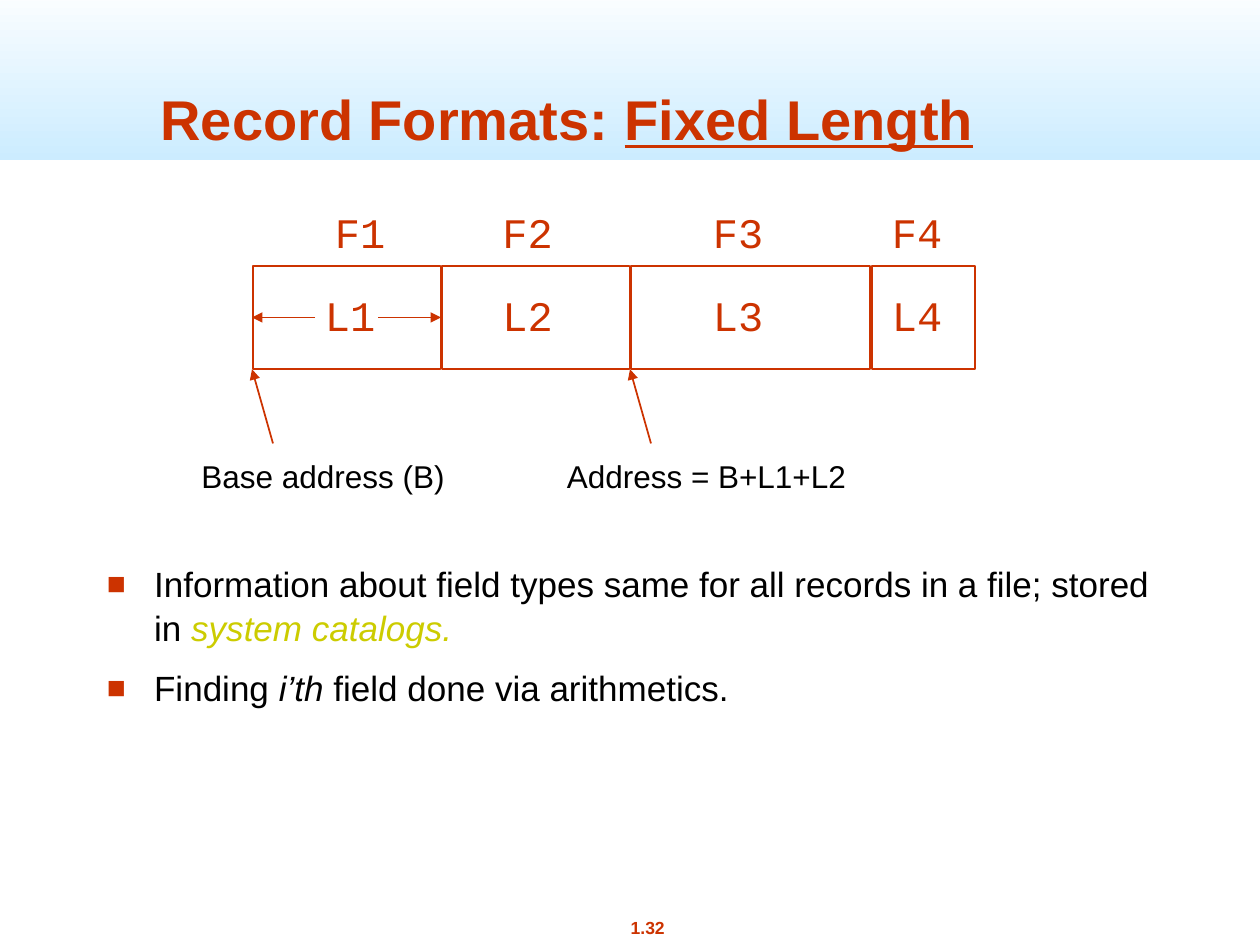
from dataclasses import dataclass

from lxml.etree import SubElement
from pptx import Presentation
from pptx.dml.color import RGBColor
from pptx.enum.shapes import MSO_CONNECTOR, MSO_SHAPE
from pptx.enum.text import MSO_ANCHOR, PP_ALIGN
from pptx.oxml.ns import qn
from pptx.util import Pt


@dataclass(frozen=True)
class Theme:
    red: str = "CC3300"
    black: str = "000000"
    lime: str = "CCCC00"
    white: str = "FFFFFF"
    sky: str = "CCECFF"
    sans: str = "Arial"
    mono: str = "Courier New"
    title: int = 32
    code: int = 24
    body: int = 20
    note: int = 18
    foot: int = 10


def write(par, text, font, size, color, bold=None, italic=None, under=None):
    run = par.add_run()
    run.text = text
    face = run.font
    face.name, face.size = font, Pt(size)
    face.color.rgb = RGBColor.from_string(color)
    face.bold, face.italic, face.underline = bold, italic, under


def mark(par, color):
    """Give a paragraph a hanging square bullet."""
    props = par._p.get_or_add_pPr()
    props.set("marL", str(Pt(27)))
    props.set("indent", str(-Pt(27)))
    tint = SubElement(props, qn("a:buClr"))
    SubElement(tint, qn("a:srgbClr"), val=color)
    SubElement(props, qn("a:buSzPct"), val="90000")
    SubElement(props, qn("a:buFont"), typeface="Arial")
    SubElement(props, qn("a:buChar"), char="■")


class Board:
    def __init__(self, slide, theme):
        self.slide, self.theme = slide, theme
        self.shapes = slide.shapes

    def band(self, x, y, w, h):
        shape = self.shapes.add_shape(MSO_SHAPE.RECTANGLE, Pt(x), Pt(y), Pt(w), Pt(h))
        shape.shadow.inherit = False
        shape.line.fill.background()
        shape.fill.gradient()
        shape.fill.gradient_angle = 270
        for stop, color in zip(shape.fill.gradient_stops, (self.theme.white, self.theme.sky)):
            stop.color.rgb = RGBColor.from_string(color)

    def box(self, x, y, w, h):
        shape = self.shapes.add_shape(MSO_SHAPE.RECTANGLE, Pt(x), Pt(y), Pt(w), Pt(h))
        shape.shadow.inherit = False
        shape.fill.background()
        self.stroke(shape.line)

    def stroke(self, line):
        line.color.rgb = RGBColor.from_string(self.theme.red)
        line.width = Pt(1)

    def arrow(self, x1, y1, x2, y2):
        line = self.shapes.add_connector(
            MSO_CONNECTOR.STRAIGHT, Pt(x1), Pt(y1), Pt(x2), Pt(y2))
        self.stroke(line.line)
        SubElement(line.line._get_or_add_ln(), qn("a:tailEnd"), type="triangle")
        SubElement(line._element.spPr, qn("a:effectLst"))

    def text(self, x, y, w, h, *pars, wrap=False, align=PP_ALIGN.LEFT,
             anchor=MSO_ANCHOR.TOP, bullet=False, **style):
        """Each paragraph is a string or a list of (text, format changes)."""
        frame = self.shapes.add_textbox(Pt(x), Pt(y), Pt(w), Pt(h)).text_frame
        frame.word_wrap, frame.vertical_anchor = wrap, anchor
        for i, runs in enumerate(pars):
            par = frame.add_paragraph() if i else frame.paragraphs[0]
            par.alignment = align
            if bullet:
                par.line_spacing, par.space_before = 1.05, Pt(8.8)
                mark(par, self.theme.red)
            for words, change in [(runs, {})] if isinstance(runs, str) else runs:
                write(par, words, **{**style, **change})


def record(board, theme):
    """Draw the four fields with their names, lengths and addresses."""
    left, top, high, gap = 144.5, 151.9, 59, 0.8
    code = dict(font=theme.mono, size=theme.code, color=theme.red)
    note = dict(font=theme.sans, size=theme.note, color=theme.black)
    fields = [(107.2, 184.3, 178.6), (107.2, 280, 280),
              (136.8, 400.3, 400.3), (59, 502.6, 502.6)]
    x = left
    for i, (wide, name, size) in enumerate(fields, 1):
        board.box(x, top, wide, high)
        board.text(name, 114.2, 43.2, 36, f"F{i}", **code)
        board.text(size, 162, 43.2, 36, f"L{i}", **code)
        x += wide + gap

    for start, end in ((180, 144), (216, 252)):
        board.arrow(start, 181.4, end, 181.4)
    for tip in (144, 360):
        board.arrow(tip + 12, 253.4, tip, 211)
    board.text(108, 257.5, 153.4, 28.8, "Base address (B)", **note)
    board.text(316.8, 257.5, 174.2, 28.8, "Address = B+L1+L2", **note)


def main():
    theme = Theme()
    deck = Presentation()
    deck.slide_width, deck.slide_height = Pt(720), Pt(540)
    board = Board(deck.slides.add_slide(deck.slide_layouts[6]), theme)

    board.band(0, -12, 720, 103.5)
    head = dict(font=theme.sans, color=theme.red, bold=True, align=PP_ALIGN.CENTER)
    board.text(334.8, 520.6, 70.6, 19.4, "1.32", size=theme.foot, **head)
    board.text(18, 0, 612, 90,
               [("Record Formats: ", {}), ("Fixed Length", dict(under=True))],
               size=theme.title, wrap=True, anchor=MSO_ANCHOR.BOTTOM, **head)
    record(board, theme)
    board.text(
        54, 316.8, 612, 139,
        [("Information about field types same for all records in a file; stored in ", {}),
         ("system catalogs.", dict(color=theme.lime, italic=True))],
        [("Finding ", {}), ("i’th ", dict(italic=True)),
         ("field done via arithmetics.", {})],
        wrap=True, bullet=True, font=theme.sans, size=theme.body, color=theme.black)
    deck.save("out.pptx")


if __name__ == "__main__":
    main()
